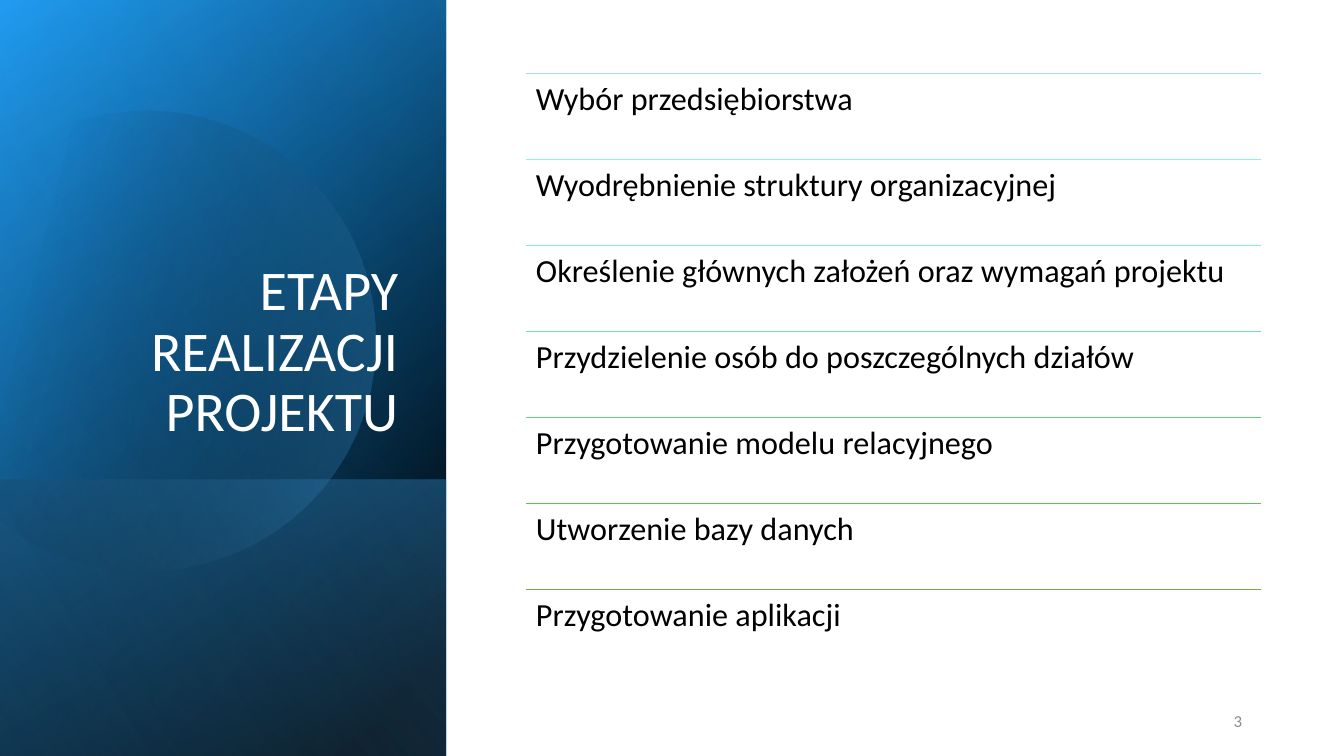
import math

import pptx
import pptx.dml.color
import pptx.enum.shapes
import pptx.enum.text
import pptx.oxml
import pptx.oxml.ns
import pptx.util

COLOURS = {
    "black": "000000", "white": "FFFFFF", "grey": "8C8C8C",
    "deep": "008FF1", "sky": "42B2FF", "pale": "8ED1FF",
}
STEPS = [
    ("Wybór przedsiębiorstwa", "A5DAFF"),
    ("Wyodrębnienie struktury organizacyjnej", "8DEDF9"),
    ("Określenie głównych założeń oraz wymagań projektu", "79F1D9"),
    ("Przydzielenie osób do poszczególnych działów", "67E5A7"),
    ("Przygotowanie modelu relacyjnego", "58D772"),
    ("Utworzenie bazy danych", "58C64C"),
    ("Przygotowanie aplikacji", "70AD47"),
]
# Each stop is position %, colour name, opacity %.
PANEL = (-155, 155, 756, 446)
PANEL_LAYERS = [
    (PANEL, 50, [(8, "black", 100), (100, "deep", 100)]),
    (PANEL, 30, [(0, "black", 0), (99, "sky", 46)]),
    ((85, 395, 276, 446), 130, [(2, "sky", 29), (100, "black", 30)]),
]
DISC_STOPS = [(29, "black", 0), (100, "sky", 43)]
SHEEN = (PANEL, 120, [(0, "black", 0), (99, "pale", 11)])

# Disc outline as seen on the page: a start, then cubic curves or straight ends.
DISC_START = (150, 111)
DISC_SEGMENTS = [
    [(248, 113), (338, 178), (366, 277)],
    [(401, 400), (331, 527), (209, 562)],
    [(132, 585), (53, 566), (-3, 518)],
    [(-15, 507)],
    [(-15, 176)],
    [(0, 162)],
    [(23, 143), (50, 129), (81, 120)],
    [(104, 114), (127, 111), (150, 111)],
]
DISC_CENTRE = (160, 337)
DISC_TURN = 343.9


def flatten(start, segments, parts=16):
    """Turn curves and straight ends into one list of points."""
    points = [start]
    for segment in segments:
        if len(segment) == 1:
            points += segment
            continue
        controls = [points[-1], *segment]
        for part in range(1, parts + 1):
            t = part / parts
            weights = [math.comb(3, i) * t**i * (1 - t) ** (3 - i) for i in range(4)]
            points.append(tuple(
                sum(w * c[axis] for w, c in zip(weights, controls)) for axis in (0, 1)))
    return points


def turn(points, centre, degrees):
    """Rotate points clockwise about a centre."""
    cos, sin = math.cos(math.radians(degrees)), math.sin(math.radians(degrees))
    cx, cy = centre
    return [(cx + (x - cx) * cos - (y - cy) * sin,
             cy + (x - cx) * sin + (y - cy) * cos) for x, y in points]


class Painter:
    SCALE = 914400 / 100.8
    FONT = "Calibri"

    def __init__(self, page):
        self.shapes = page.shapes

    @classmethod
    def px(cls, *lengths):
        return [pptx.util.Emu(round(length * cls.SCALE)) for length in lengths]

    @staticmethod
    def colour(value):
        return pptx.dml.color.RGBColor.from_string(COLOURS.get(value, value))

    def gradient(self, shape, angle, stops):
        """Fill a shape with a linear gradient whose stops may be translucent."""
        shape.shadow.inherit = False
        shape.line.fill.background()
        shape.fill.background()
        marks = "".join(
            f'<a:gs pos="{at * 1000}"><a:srgbClr val="{COLOURS[name]}">'
            f'<a:alpha val="{opacity * 1000}"/></a:srgbClr></a:gs>'
            for at, name, opacity in stops)
        fill = pptx.oxml.parse_xml(
            f'<a:gradFill {pptx.oxml.ns.nsdecls("a")} rotWithShape="1">'
            f'<a:gsLst>{marks}</a:gsLst>'
            f'<a:lin ang="{angle * 60000}" scaled="0"/></a:gradFill>')
        properties = shape._element.spPr
        properties.replace(properties.find(pptx.oxml.ns.qn("a:noFill")), fill)

    def layer(self, frame, angle, stops):
        """Add a mirrored rectangle standing on its side."""
        shape = self.shapes.add_shape(
            pptx.enum.shapes.MSO_SHAPE.RECTANGLE, *self.px(*frame))
        shape.rotation = 90
        shape._element.spPr.find(pptx.oxml.ns.qn("a:xfrm")).set("flipH", "1")
        self.gradient(shape, angle, stops)

    def outline(self, points, rotation, angle, stops):
        fine = [(x * 10, y * 10) for x, y in points]
        builder = self.shapes.build_freeform(*fine[0], scale=self.SCALE / 10)
        builder.add_line_segments(fine[1:], close=True)
        shape = builder.convert_to_shape()
        shape.rotation = rotation
        self.gradient(shape, angle, stops)

    def rule(self, left, right, y, colour):
        line = self.shapes.add_connector(
            pptx.enum.shapes.MSO_CONNECTOR.STRAIGHT, *self.px(left, y, right, y))
        line.line.color.rgb = self.colour(colour)
        line.line.width = pptx.util.Pt(0.5)
        line._element.spPr.append(
            pptx.oxml.parse_xml(f'<a:effectLst {pptx.oxml.ns.nsdecls("a")}/>'))

    def text(self, frame, words, size, colour, box_format=None, para_format=None):
        box = self.shapes.add_textbox(*self.px(*frame)).text_frame
        para = box.paragraphs[0]
        span = para.add_run()
        span.text = words
        span.font.color.rgb = self.colour(colour)
        formats = [
            (box, {"word_wrap": True, **(box_format or {})}),
            (para, para_format or {}),
            (span.font, {"name": self.FONT, "size": pptx.util.Pt(size)}),
        ]
        for target, values in formats:
            for name, value in values.items():
                setattr(target, name, value)


def main():
    deck = pptx.Presentation()
    deck.slide_width, deck.slide_height = Painter.px(1344, 756)
    painter = Painter(deck.slides.add_slide(deck.slide_layouts[6]))
    anchor = pptx.enum.text.MSO_ANCHOR
    right = pptx.enum.text.PP_ALIGN.RIGHT

    for layer in PANEL_LAYERS:
        painter.layer(*layer)
    seen = flatten(DISC_START, DISC_SEGMENTS)
    painter.outline(turn(seen, DISC_CENTRE, -DISC_TURN), DISC_TURN, 30, DISC_STOPS)
    painter.layer(*SHEEN)
    painter.text((65, 185, 343, 264), "ETAPY REALIZACJI PROJEKTU", 40, "white",
                 {"vertical_anchor": anchor.BOTTOM},
                 {"alignment": right, "line_spacing": 0.9})

    left, top, width, pitch = 526, 73, 735, 86
    inset, = painter.px(10)
    insets = {f"margin_{side}": inset for side in ("left", "top", "right", "bottom")}
    for row, (words, colour) in enumerate(STEPS):
        y = top + row * pitch
        painter.rule(left, left + width, y, colour)
        painter.text((left, y, width, pitch), words, 23, "black",
                     insets, {"line_spacing": 0.9})

    painter.text((950, 701, 302, 40), "3", 12, "grey",
                 {"vertical_anchor": anchor.MIDDLE}, {"alignment": right})
    deck.save("out.pptx")


if __name__ == "__main__":
    main()
